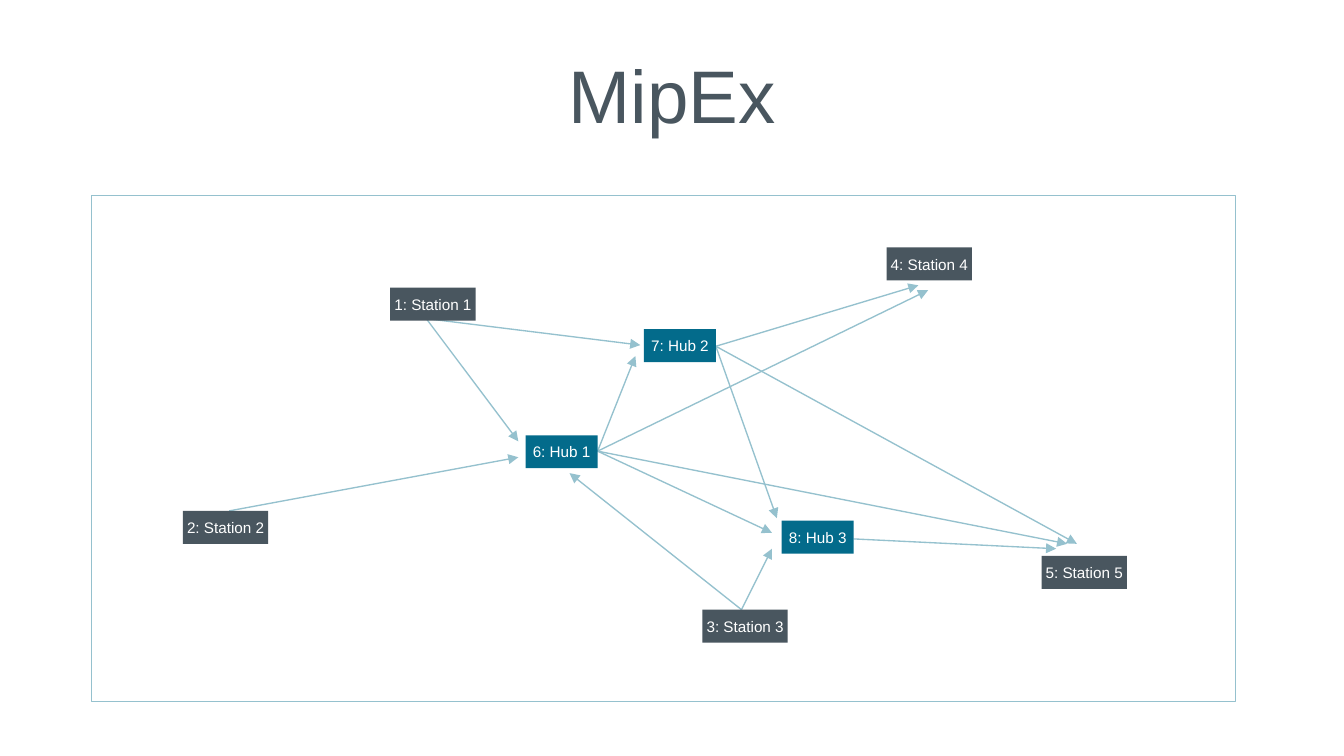
from lxml.etree import SubElement
from pptx import Presentation
from pptx.dml.color import RGBColor
from pptx.enum.shapes import MSO_CONNECTOR as Connector, MSO_SHAPE as Shape
from pptx.enum.text import MSO_ANCHOR as Anchor, PP_ALIGN as Align
from pptx.oxml.ns import qn
from pptx.util import Inches, Pt

TITLE = "MipEx"
SLATE, TEAL, MIST, WHITE = "49565F", "036B8B", "95C1CE", "FFFFFF"
TITLE_AREA = (0.55, 0.25, 9.92, 1.04)
FRAME_AREA = (0.75, 1.6, 9.38, 4.15)
NODE_HEIGHT = 0.27
KINDS = {
    "Station": {"width": 0.7, "fill": SLATE},
    "Hub": {"width": 0.59, "fill": TEAL},
}
NODES = [
    ("Station", 1, 3.2, 2.36),
    ("Station", 2, 1.5, 4.19),
    ("Station", 3, 5.76, 5.0),
    ("Station", 4, 7.27, 2.03),
    ("Station", 5, 8.54, 4.56),
    ("Hub", 1, 4.31, 3.57),
    ("Hub", 2, 5.28, 2.7),
    ("Hub", 3, 6.41, 4.27),
]
ROUTES = [
    ((3.55, 2.62), [(5.25, 2.83)]),
    ((3.5, 2.62), [(4.25, 3.62)]),
    ((1.88, 4.19), [(4.25, 3.75)]),
    ((6.08, 5.0), [(4.67, 3.88), (6.33, 4.5)]),
    ((4.9, 3.7), [(8.75, 4.46), (6.33, 4.37), (7.61, 2.38), (5.21, 2.92)]),
    ((5.87, 2.84), [(8.83, 4.46), (7.53, 2.34), (6.37, 4.25)]),
    ((7.0, 4.42), [(8.66, 4.5)]),
]


def color(value):
    return RGBColor.from_string(value)


def write(shape, text, size, ink, margins, wrap):
    frame = shape.text_frame
    left, top = (Inches(margin) for margin in margins)
    layout = {
        "margin_left": left, "margin_right": left,
        "margin_top": top, "margin_bottom": top,
        "vertical_anchor": Anchor.MIDDLE, "word_wrap": wrap,
    }
    for name, value in layout.items():
        setattr(frame, name, value)
    para = frame.paragraphs[0]
    para.alignment = Align.CENTER
    span = para.add_run()
    span.text = text
    for name, value in {"name": "Arial", "size": Pt(size)}.items():
        setattr(span.font, name, value)
    span.font.color.rgb = color(ink)


def add_rectangle(page, area):
    box = page.shapes.add_shape(Shape.RECTANGLE, *map(Inches, area))
    box.shadow.inherit = False
    return box


def add_frame(page):
    box = add_rectangle(page, FRAME_AREA)
    box.fill.background()
    box.line.color.rgb = color(MIST)
    box.line.width = Pt(0.5)


def add_arrow(page, tip, start):
    arrow = page.shapes.add_connector(Connector.STRAIGHT, *map(Inches, tip + start))
    arrow.line.color.rgb = color(MIST)
    arrow.line.width = Pt(0.79)
    properties = arrow._element.spPr
    SubElement(properties.find(qn("a:ln")), qn("a:headEnd"), type="triangle")
    SubElement(properties, qn("a:effectLst"))


def add_node(page, order, kind, number, left, top):
    look = KINDS[kind]
    box = add_rectangle(page, (left, top, look["width"], NODE_HEIGHT))
    box.fill.solid()
    box.fill.fore_color.rgb = color(look["fill"])
    box.line.fill.background()
    write(box, f"{order}: {kind} {number}", 9, WHITE, (0.1, 0.05), False)


def main():
    deck = Presentation()
    deck.slide_width, deck.slide_height = Inches(11.02), Inches(6.2)
    page = deck.slides.add_slide(deck.slide_layouts[6])
    heading = page.shapes.add_textbox(*map(Inches, TITLE_AREA))
    write(heading, TITLE, 44, SLATE, (0, 0), True)
    add_frame(page)
    for start, tips in ROUTES:
        for tip in tips:
            add_arrow(page, tip, start)
    for order, node in enumerate(NODES, 1):
        add_node(page, order, *node)
    deck.save("out.pptx")


if __name__ == "__main__":
    main()
